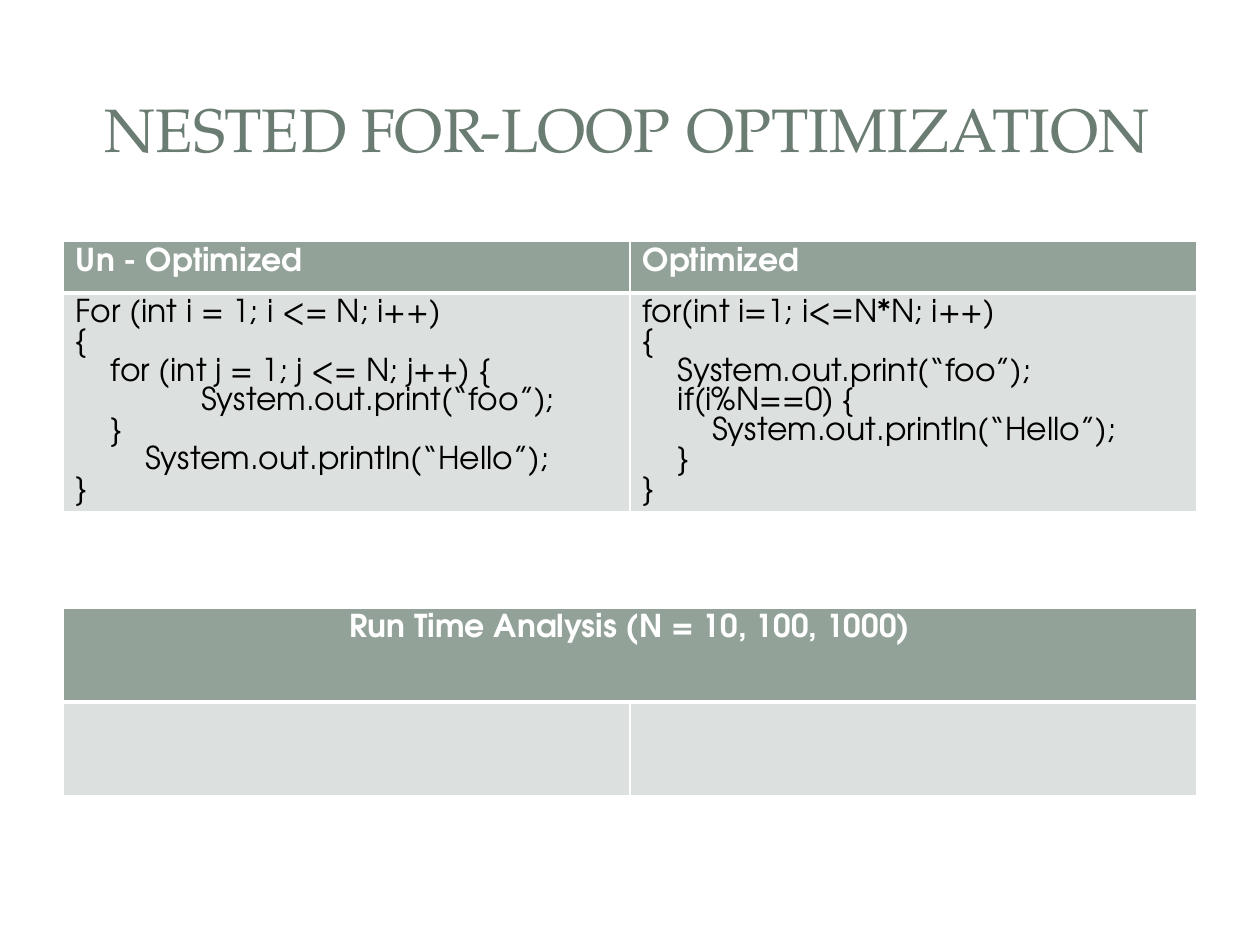
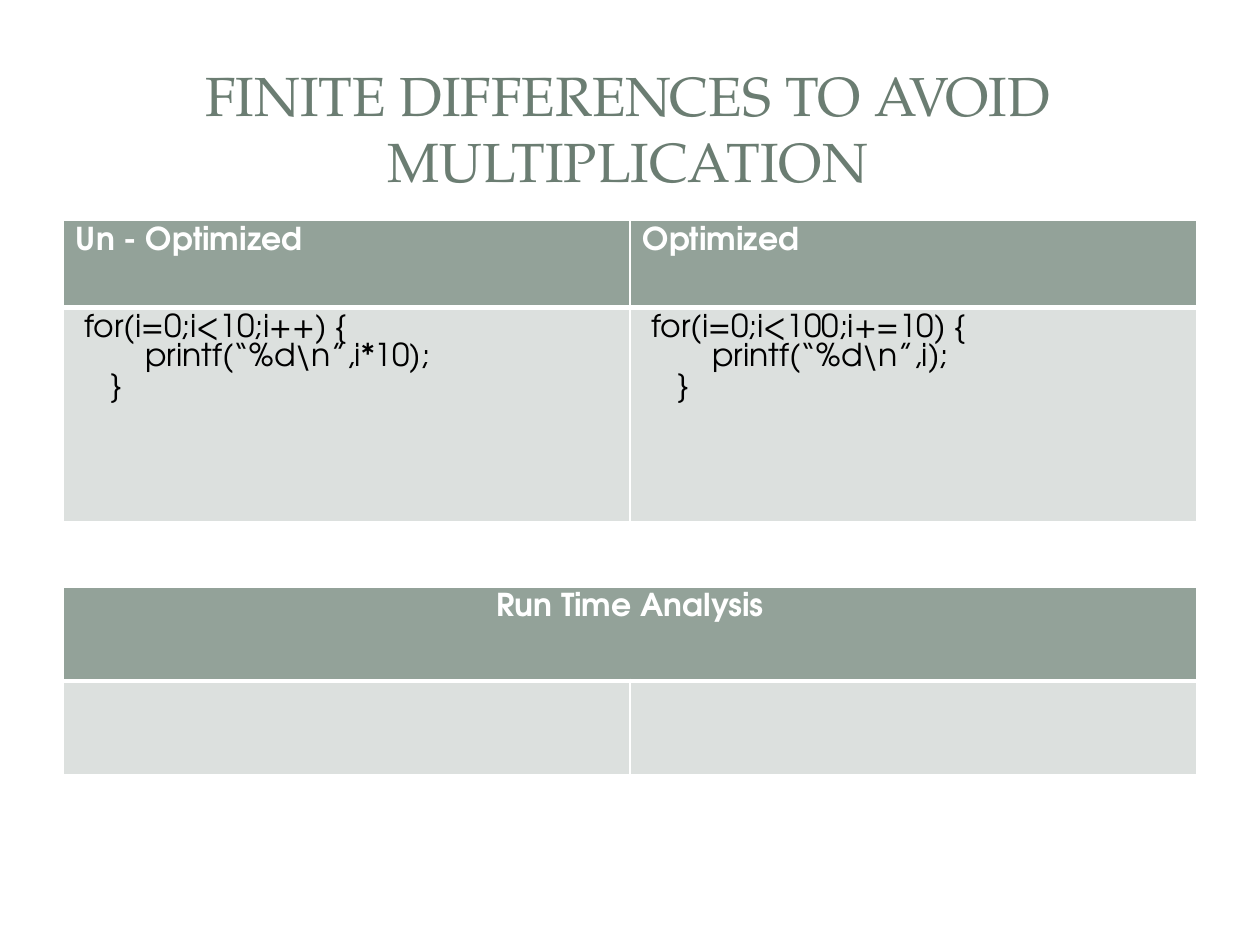
import pptx
import pptx.util
import pptx.dml.color
import pptx.enum.shapes
import pptx.enum.text
import pptx.oxml.ns
import lxml.etree

COLORS = {"title": "6B7D72", "header": "93A299", "body": "DCE0DE",
          "code": "000000", "white": "FFFFFF"}
TITLE_FONT, BODY_FONT = "TeX Gyre Pagella", "TeX Gyre Adventor"
ALIGN = pptx.enum.text.PP_ALIGN
ANCHOR = pptx.enum.text.MSO_ANCHOR
SHAPE = pptx.enum.shapes.MSO_SHAPE
SPACE = 0.07  # indent of one code character, in inches
LEFT, WIDTH = 5, 90  # table columns, in percent of the slide width


def color(name):
    return pptx.dml.color.RGBColor.from_string(COLORS[name])


def write(paragraph, text, font=BODY_FONT, size=18, fill="code", bold=False,
          align=ALIGN.LEFT, indent=0):
    """Put one formatted run in a paragraph."""
    paragraph.alignment = align
    if indent:
        properties = paragraph._p.get_or_add_pPr()
        properties.set("marL", str(pptx.util.Inches(indent)))
        properties.set("indent", "0")
    run = paragraph.add_run()
    run.text = text
    run.font.name, run.font.size, run.font.bold = font, pptx.util.Pt(size), bold
    run.font.color.rgb = color(fill)


class Deck:
    """Shared style and current slide; lengths are percent of the slide."""

    def __init__(self):
        self.presentation = pptx.Presentation()
        self.presentation.slide_width = pptx.util.Inches(10)
        self.presentation.slide_height = pptx.util.Inches(7.5)
        self.slide = None

    def across(self, share):
        return int(self.presentation.slide_width * share / 100)

    def down(self, share):
        return int(self.presentation.slide_height * share / 100)

    def add_panel(self, left, top, width, height, kind=SHAPE.RECTANGLE, opacity=100):
        shape = self.slide.shapes.add_shape(
            kind, self.across(left), self.down(top),
            self.across(width), self.down(height))
        shape.shadow.inherit = False
        shape.fill.solid()
        shape.fill.fore_color.rgb = color("white")
        shape.line.fill.background()
        if opacity < 100:
            value = shape.fill._xPr.find(".//" + pptx.oxml.ns.qn("a:srgbClr"))
            lxml.etree.SubElement(value, pptx.oxml.ns.qn("a:alpha"),
                                  val=str(opacity * 1000))
        return shape

    def add_slide(self, title, size):
        """Start a slide with its paper, title band and title."""
        layout = self.presentation.slide_layouts[5]
        self.slide = self.presentation.slides.add_slide(layout)
        paper = self.add_panel(1, 1.47, 98, 97.2, kind=SHAPE.ROUNDED_RECTANGLE)
        paper.adjustments[0] = 0.02
        self.add_panel(3, 4, 94, 19.33, opacity=83)
        self.add_panel(4.1, 5.47, 91.7, 16.27)

        shape = self.slide.shapes.title
        shape._element.getparent().append(shape._element)  # bring to front
        shape.left, shape.top = self.across(4.67), self.down(5.93)
        shape.width, shape.height = self.across(90.3), self.down(15.2)
        frame = shape.text_frame
        frame.word_wrap = True
        frame.auto_size = pptx.enum.text.MSO_AUTO_SIZE.NONE
        frame.vertical_anchor = ANCHOR.MIDDLE
        write(frame.paragraphs[0], title, font=TITLE_FONT, size=size,
              fill="title", align=ALIGN.CENTER)

    def style_cell(self, cell, fill, top, bottom):
        """Fill a cell and give it white borders, widths in points."""
        cell.fill.solid()
        cell.fill.fore_color.rgb = color(fill)
        properties = cell._tc.get_or_add_tcPr()
        edges = {"lnL": 1, "lnR": 1, "lnT": top, "lnB": bottom}
        for position, (edge, width) in enumerate(edges.items()):
            line = lxml.etree.Element(pptx.oxml.ns.qn("a:" + edge),
                                      w=str(pptx.util.Pt(width)))
            solid = lxml.etree.SubElement(line, pptx.oxml.ns.qn("a:solidFill"))
            lxml.etree.SubElement(solid, pptx.oxml.ns.qn("a:srgbClr"),
                                  val=COLORS["white"])
            properties.insert(position, line)

    def add_table(self, top, heights):
        """Add a two-column table with a header row and a body row."""
        frame = self.slide.shapes.add_table(
            2, 2, self.across(LEFT), self.down(top),
            self.across(WIDTH), self.down(sum(heights)))
        table = frame.table
        for row, height in zip(table.rows, heights):
            row.height = self.down(height)
        for column in range(2):
            self.style_cell(table.cell(0, column), "header", 1, 3)
            self.style_cell(table.cell(1, column), "body", 3, 1)
        return table

    def add_code_table(self, top, heights, samples):
        """Compare code samples; each line is (indent characters, text)."""
        table = self.add_table(top, heights)
        for column, (heading, lines) in enumerate(samples.items()):
            write(table.cell(0, column).text_frame.paragraphs[0], heading,
                  fill="white", bold=True)
            frame = table.cell(1, column).text_frame
            for number, (characters, text) in enumerate(lines):
                paragraph = frame.add_paragraph() if number else frame.paragraphs[0]
                write(paragraph, text, indent=characters * SPACE)

    def add_analysis_table(self, top, heading):
        table = self.add_table(top, [9.93, 9.93])
        table.cell(0, 0).merge(table.cell(0, 1))
        write(table.cell(0, 0).text_frame.paragraphs[0], heading,
              fill="white", bold=True, align=ALIGN.CENTER)


def main():
    deck = Deck()

    # Nested loops
    deck.add_slide("NESTED FOR-LOOP OPTIMIZATION", size=35)
    deck.add_code_table(25.55, [5.45, 23.05], {
        "Un - Optimized": [
            (0, "For (int i = 1; i <= N; i++)"),
            (0, "{"),
            (4, "for (int j = 1; j <= N; j++) {"),
            (14.25, "System.out.print(“foo”);"),
            (4, "}"),
            (7.9, "System.out.println(“Hello”);"),
            (0, "}")],
        "Optimized": [
            (0, "for(int i=1; i<=N*N; i++)"),
            (0, "{"),
            (4, "System.out.print(“foo”);"),
            (4, "if(i%N==0) {"),
            (7.9, "System.out.println(“Hello”);"),
            (4, "}"),
            (0, "}")]})
    deck.add_analysis_table(64.37, "Run Time Analysis (N = 10, 100, 1000)")

    # Finite differences
    deck.add_slide("FINITE DIFFERENCES TO AVOID MULTIPLICATION", size=31.5)
    deck.add_code_table(23.35, [9.2, 22.67], {
        "Un - Optimized": [
            (1, "for(i=0;i<10;i++) {"),
            (7.9, "printf(“%d\\n”,i*10);"),
            (4, "}")],
        "Optimized": [
            (1, "for(i=0;i<100;i+=10) {"),
            (7.9, "printf(“%d\\n”,i);"),
            (4, "}")]})
    deck.add_analysis_table(62.13, "Run Time Analysis")

    deck.presentation.save("out.pptx")


if __name__ == "__main__":
    main()
